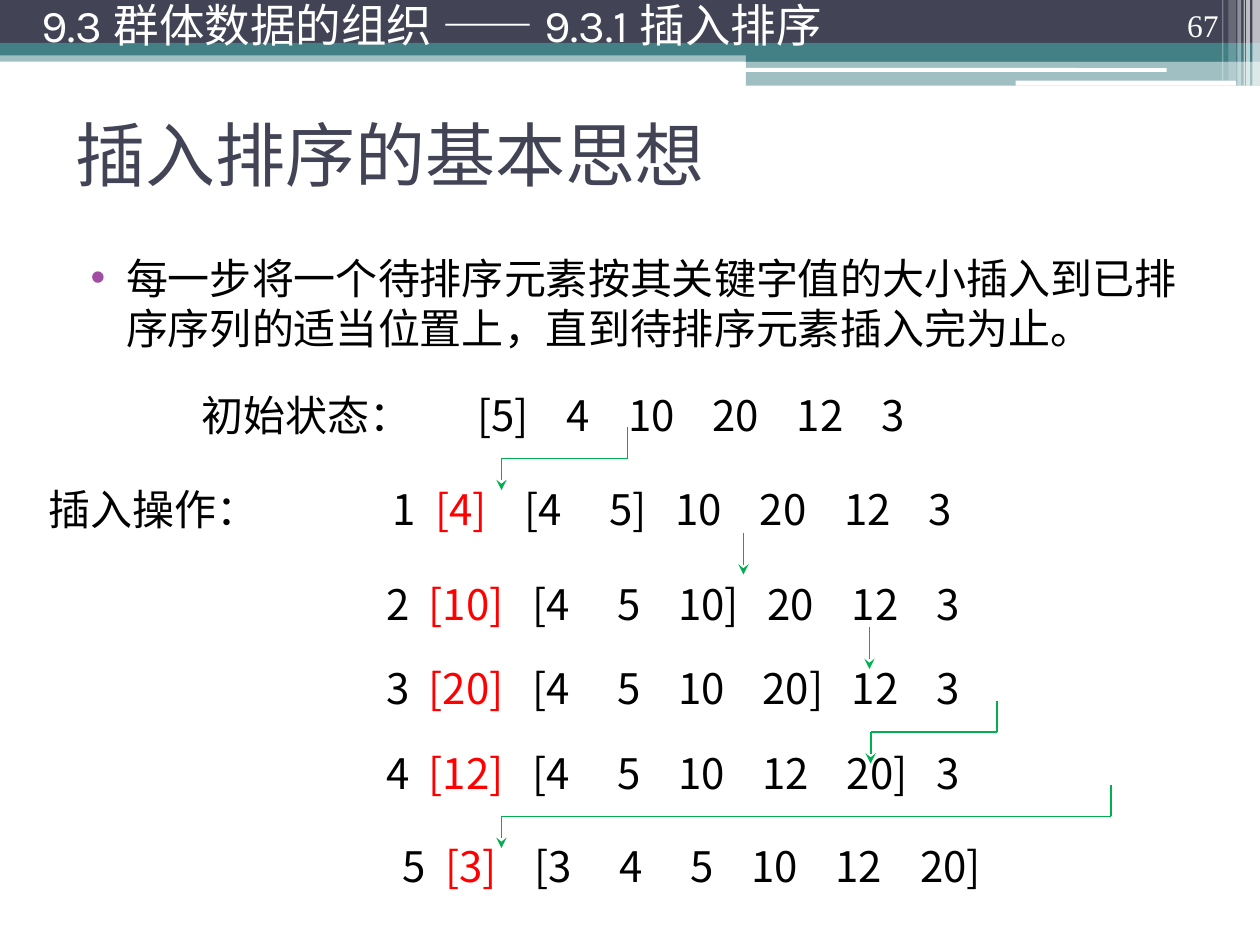
from dataclasses import dataclass

from lxml import etree
from pptx import Presentation
from pptx import util as u
from pptx.dml.color import RGBColor
from pptx.enum import shapes, text
from pptx.oxml.ns import qn

COLORS = {
    "navy": "424456", "teal": "438086", "white": "FFFFFF", "black": "000000",
    "red": "FF0000", "green": "00B050", "purple": "A04DA3",
}
CJK, SANS, SERIF = "Noto Sans CJK SC", "Karla", "Times New Roman"
SPACE, DIGIT, BRACKET = 0.075, 0.185, 0.113  # advance widths at 24 pt, inches


@dataclass
class Band:
    x: float
    y: float
    w: float
    h: float
    color: str
    opacity: int = 100
    rounded: bool = False


@dataclass
class Step:
    x: float
    y: float
    w: float
    label: str
    inserted: str
    sequence: str


@dataclass
class Arrow:
    """Path of corner points; the last one carries the arrowhead."""
    points: list[tuple[float, float]]


def elbow(x1: float, x2: float, y: float) -> Arrow:
    return Arrow([(x1, y), (x1, y + 0.25), (x2, y + 0.25), (x2, y + 0.5)])


BANDS = [
    Band(0, 0.4, 10, 0.09, "teal", 50),
    Band(0, 0, 10, 0.34, "navy"),
    Band(0, 0.34, 10, 0.1, "teal"),
    Band(5.92, 0.39, 4.08, 0.1, "teal"),
    Band(5.92, 0.48, 4.08, 0.2, "teal", 50),
    Band(5.91, 0.54, 3.35, 0.03, "white", rounded=True),
    Band(8.06, 0.64, 1.75, 0.04, "white", rounded=True),
    Band(9.94, 0, 0.06, 0.68, "white", 65),
    Band(9.89, 0, 0.03, 0.68, "white", 65),
    Band(9.87, 0, 0.01, 0.68, "white", 60),
    Band(9.82, 0, 0.03, 0.68, "white", 40),
    Band(9.75, 0, 0.06, 0.64, "white", 20),
    Band(9.7, 0, 0.01, 0.64, "white", 30),
]
STEPS = [
    Step(3.02, 3.79, 4.99, "1", "[4]", "[4 5] 10 20 12 3"),
    Step(2.97, 4.54, 5.1, "2", "[10]", "[4 5 10] 20 12 3"),
    Step(2.97, 5.21, 5.1, "3", "[20]", "[4 5 10 20] 12 3"),
    Step(2.97, 5.88, 5.1, "4", "[12]", "[4 5 10 12 20] 3"),
    Step(3.1, 6.62, 5.17, "5", "[3]", "[3 4 5 10 12 20]"),
]
ARROWS = [
    elbow(4.98, 3.98, 3.39),
    Arrow([(5.9, 4.23), (5.9, 4.56)]),
    Arrow([(6.9, 4.98), (6.9, 5.31)]),
    elbow(8.82, 3.98, 6.23),
    elbow(7.91, 6.91, 5.56),
]


def rgb(name: str) -> RGBColor:
    return RGBColor.from_string(COLORS[name])


def place(sp, x: float, y: float, w: float, h: float) -> None:
    sp.left, sp.top, sp.width, sp.height = map(u.Inches, (x, y, w, h))


def add_run(p, words: str, size: float, face: str, color: str) -> None:
    r = p.add_run()
    r.text = words
    r.font.size, r.font.name = u.Pt(size), face
    r.font.color.rgb = rgb(color)
    if face == CJK:
        etree.SubElement(r.font._element, qn("a:ea"), typeface=face)


def add_band(slide, band: Band) -> None:
    kind = shapes.MSO_SHAPE.ROUNDED_RECTANGLE if band.rounded else shapes.MSO_SHAPE.RECTANGLE
    sp = slide.shapes.add_shape(kind, *map(u.Inches, (band.x, band.y, band.w, band.h)))
    sp.shadow.inherit = False
    sp.line.fill.background()
    sp.fill.solid()
    sp.fill.fore_color.rgb = rgb(band.color)
    if band.opacity < 100:
        color = sp.fill._xPr.find(".//" + qn("a:srgbClr"))
        etree.SubElement(color, qn("a:alpha"), val=str(band.opacity * 1000))


def add_box(slide, x: float, y: float, w: float, h: float, anchor=text.MSO_ANCHOR.TOP):
    tf = slide.shapes.add_textbox(*map(u.Inches, (x, y, w, h))).text_frame
    tf.word_wrap = True
    tf.vertical_anchor = anchor
    return tf.paragraphs[0]


def width(item: str) -> float:
    return sum(DIGIT if c.isdigit() else BRACKET for c in item)


def gap(before: str, after: str) -> float:
    """Wider between two single digits, narrower behind a closing bracket."""
    single = all(len(item.strip("[]")) == 1 for item in (before, after))
    return SPACE * ((5 if single else 4) - before.endswith("]"))


def add_tabs(p, first: float, items: list[str]) -> None:
    """Tab stops at the left edge of each item, the first at a given place."""
    stops = [first]
    for before, after in zip(items, items[1:]):
        stops.append(stops[-1] + width(before) + gap(before, after))
    tabs = etree.SubElement(p._p.get_or_add_pPr(), qn("a:tabLst"))
    for stop in stops:
        etree.SubElement(tabs, qn("a:tab"), pos=str(u.Inches(stop)), algn="l")


def add_step(slide, step: Step) -> None:
    p = add_box(slide, step.x, step.y, step.w, 0.5)
    items = step.sequence.split()
    add_tabs(p, width(step.label) + 2 * SPACE, [step.inserted] + items)
    add_run(p, step.label + "\t", 24, CJK, "black")
    add_run(p, step.inserted + "\t", 24, CJK, "red")
    add_run(p, "\t".join(items), 24, CJK, "black")


def add_arrow(slide, arrow: Arrow) -> None:
    for start, end in zip(arrow.points, arrow.points[1:]):
        line = slide.shapes.add_connector(
            shapes.MSO_CONNECTOR.STRAIGHT, *map(u.Inches, start + end))
        line.line.color.rgb = rgb("green")
        line.line.width = u.Pt(1)
        etree.SubElement(line._element.spPr, qn("a:effectLst"))
    etree.SubElement(line.line._get_or_add_ln(), qn("a:tailEnd"), type="stealth")


def fill_title(sp) -> None:
    place(sp, 0.5, 0.63, 9, 1.17)
    sp.text_frame.vertical_anchor = text.MSO_ANCHOR.MIDDLE
    p = sp.text_frame.paragraphs[0]
    p.alignment = text.PP_ALIGN.LEFT
    add_run(p, "插入排序的基本思想", 40, SANS, "navy")


def fill_body(sp) -> None:
    place(sp, 0.5, 1.95, 9, 5.24)
    p = sp.text_frame.paragraphs[0]
    p.space_before, p.space_after = u.Pt(0), u.Pt(12)
    pPr = p._p.get_or_add_pPr()
    pPr.set("marL", str(u.Inches(0.4)))
    pPr.set("indent", str(u.Inches(-0.28)))
    color = etree.SubElement(pPr, qn("a:buClr"))
    etree.SubElement(color, qn("a:srgbClr"), val=COLORS["purple"])
    etree.SubElement(pPr, qn("a:buChar"), char="•")
    add_run(p, "每一步将一个待排序元素按其关键字值的大小插入到已排序序列的适当位置上，"
            "直到待排序元素插入完为止。", 24, CJK, "black")


def main() -> None:
    prs = Presentation()
    prs.slide_width, prs.slide_height = u.Inches(10), u.Inches(7.5)
    slide = prs.slides.add_slide(prs.slide_layouts[1])
    for band in BANDS:
        add_band(slide, band)
    fill_title(slide.shapes.title)
    fill_body(slide.placeholders[1])

    p = add_box(slide, 8.94, 0, 0.83, 0.4, text.MSO_ANCHOR.BOTTOM)
    p.alignment = text.PP_ALIGN.RIGHT
    add_run(p, "67", 18, SERIF, "white")
    p = add_box(slide, 0.23, 0, 9.1, 0.47, text.MSO_ANCHOR.MIDDLE)
    p.line_spacing = 0.8
    add_run(p, "9.3 群体数据的组织 —— 9.3.1 插入排序", 26, SANS, "white")

    initial = "[5] 4 10 20 12 3".split()
    p = add_box(slide, 1.5, 3.04, 6.78, 0.5)
    add_tabs(p, 2.19, initial)
    add_run(p, "\t".join(["初始状态：", *initial]), 24, CJK, "black")
    add_run(add_box(slide, 0.29, 3.79, 1.87, 0.5), "插入操作：", 24, CJK, "black")
    for step in STEPS:
        add_step(slide, step)
    for arrow in ARROWS:
        add_arrow(slide, arrow)
    prs.save("out.pptx")


if __name__ == "__main__":
    main()
